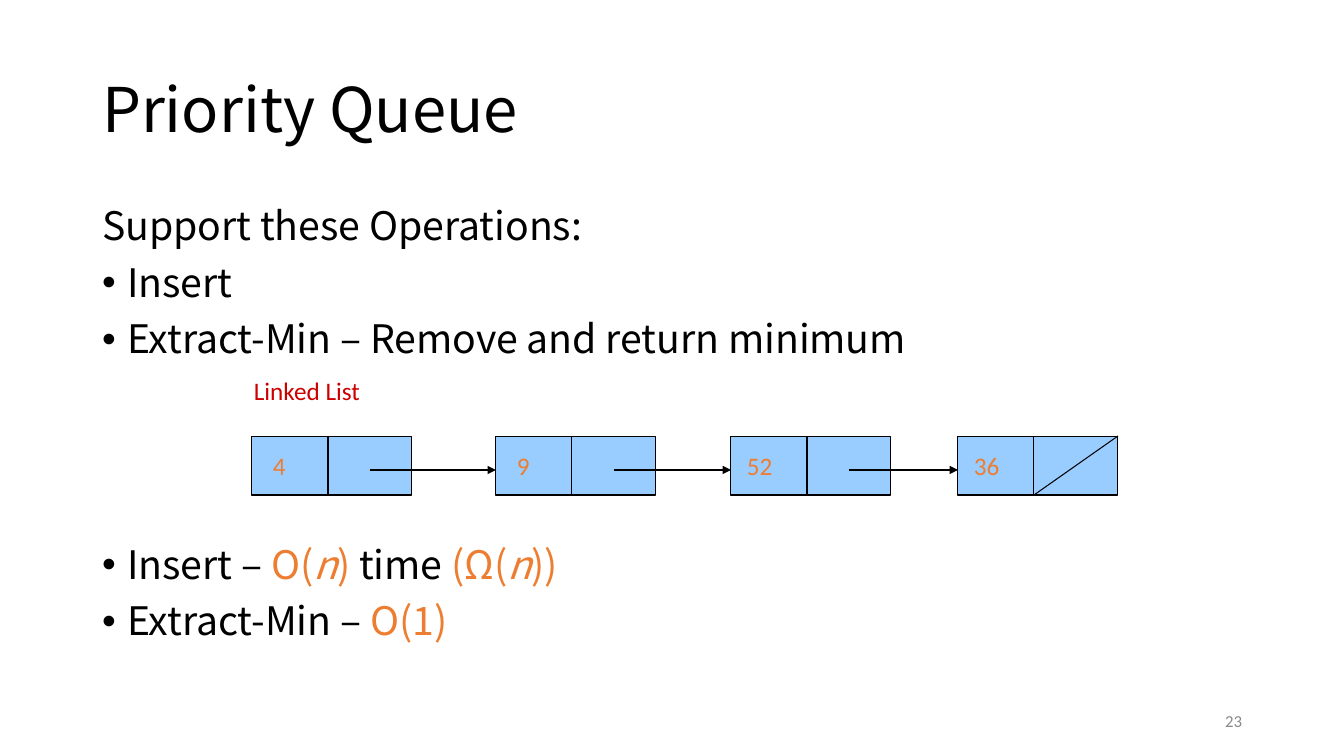
import pptx
import pptx.util
import pptx.dml.color
import pptx.enum.shapes
import pptx.enum.text
import lxml.etree

PIXEL = 914400 / 100.8
COLORS = {"text": "000000", "accent": "ED7D31", "node": "99CCFF", "label": "CD0000", "number": "898989"}
HEADING_FONT = "Noto Sans CJK SC"
NOTE_FONT = "Calibri"
ALIGN = pptx.enum.text.PP_ALIGN
MIDDLE = pptx.enum.text.MSO_ANCHOR.MIDDLE


def emu(*pixels):
    return [pptx.util.Emu(round(pixel * PIXEL)) for pixel in pixels]


def style(span, font, size, color):
    span.font.name = font
    span.font.size = pptx.util.Pt(size)
    span.font.color.rgb = pptx.dml.color.RGBColor.from_string(COLORS[color])


deck = pptx.Presentation()
deck.slide_width, deck.slide_height = emu(1344, 756)
page = deck.slides.add_slide(deck.slide_layouts[1])
title, body = page.placeholders

title.left, title.top, title.width, title.height = emu(92, 40, 1160, 146)
title.text_frame.text = "Priority Queue"
title.text_frame.vertical_anchor = MIDDLE
title.text_frame.auto_size = pptx.enum.text.MSO_AUTO_SIZE.NONE
para = title.text_frame.paragraphs[0]
para.alignment = ALIGN.LEFT
para.line_spacing = 0.9
style(para.runs[0], HEADING_FONT, 44, "text")

body.left, body.top, body.width, body.height = emu(92, 202, 1160, 480)
body.text_frame.auto_size = pptx.enum.text.MSO_AUTO_SIZE.NONE
body_lines = [
    (False, 10, [("Support these Operations:", "text")]),
    (True, 10, [("Insert", "text")]),
    (True, 10, [("Extract-Min – Remove and return minimum", "text")]),
    (True, 131, [("Insert – ", "text"), ("O(", "accent"), ("n", "accent"), (")", "accent"),
                 (" time ", "text"), ("(Ω(", "accent"), ("n", "accent"), ("))", "accent")]),
    (True, 10, [("Extract-Min – ", "text"), ("O(1)", "accent")]),
]
for index, (bulleted, space, spans) in enumerate(body_lines):
    para = body.text_frame.paragraphs[0] if index == 0 else body.text_frame.add_paragraph()
    para.line_spacing = 0.9
    para.space_before = pptx.util.Pt(space)
    properties = para._p.get_or_add_pPr()
    properties.set("marL", "228600")
    properties.set("indent", "-228600")
    bullet = lxml.etree.SubElement(properties, pptx.oxml.ns.qn("a:buChar" if bulleted else "a:buNone"))
    if bulleted:
        bullet.set("char", "•")
    for text, color in spans:
        span = para.add_run()
        span.text = text
        style(span, HEADING_FONT, 28, color)
        span.font.italic = text == "n"

NODE_TOP, NODE_WIDTH, NODE_HEIGHT = 436, 160, 59
NODE_BOTTOM = NODE_TOP + NODE_HEIGHT
VALUE_WIDTH, LINK_START, LINK_Y = 76, 118, 470
nodes = [("4", 252), ("9", 496), ("52", 731), ("36", 958)]
lines = []
for index, (value, left) in enumerate(nodes):
    node = page.shapes.add_shape(pptx.enum.shapes.MSO_SHAPE.RECTANGLE,
                                 *emu(left, NODE_TOP, NODE_WIDTH, NODE_HEIGHT))
    node.shadow.inherit = False
    node.fill.solid()
    node.fill.fore_color.rgb = pptx.dml.color.RGBColor.from_string(COLORS["node"])
    node.line.color.rgb = pptx.dml.color.RGBColor.from_string(COLORS["text"])
    node.line.width = pptx.util.Pt(0.75)
    node.text_frame.text = value
    node.text_frame.vertical_anchor = MIDDLE
    node.text_frame.margin_left = emu(26 - 5 * len(value))[0]
    para = node.text_frame.paragraphs[0]
    para.alignment = ALIGN.LEFT
    style(para.runs[0], NOTE_FONT, 18, "accent")
    divider = left + VALUE_WIDTH
    lines.append((divider, NODE_TOP, divider, NODE_BOTTOM, False))
    if index + 1 < len(nodes):
        lines.append((left + LINK_START, LINK_Y, nodes[index + 1][1], LINK_Y, True))
    else:
        lines.append((divider, NODE_BOTTOM, left + NODE_WIDTH, NODE_TOP, False))

for *ends, arrow in lines:
    line = page.shapes.add_connector(pptx.enum.shapes.MSO_CONNECTOR.STRAIGHT, *emu(*ends))
    line.line.color.rgb = pptx.dml.color.RGBColor.from_string(COLORS["text"])
    line.line.width = pptx.util.Pt(0.75)
    if arrow:
        outline = line.line._get_or_add_ln()
        lxml.etree.SubElement(outline, pptx.oxml.ns.qn("a:tailEnd"), type="triangle")
    lxml.etree.SubElement(line._element.spPr, pptx.oxml.ns.qn("a:effectLst"))

notes = [
    ("Linked List", (244, 370, 128, 40), 18, "label", ALIGN.LEFT),
    ("23", (950, 701, 302, 40), 12, "number", ALIGN.RIGHT),
]
for text, frame, size, color, alignment in notes:
    box = page.shapes.add_textbox(*emu(*frame))
    box.text_frame.text = text
    box.text_frame.word_wrap = True
    box.text_frame.vertical_anchor = MIDDLE
    para = box.text_frame.paragraphs[0]
    para.alignment = alignment
    style(para.runs[0], NOTE_FONT, size, color)

deck.save("out.pptx")
